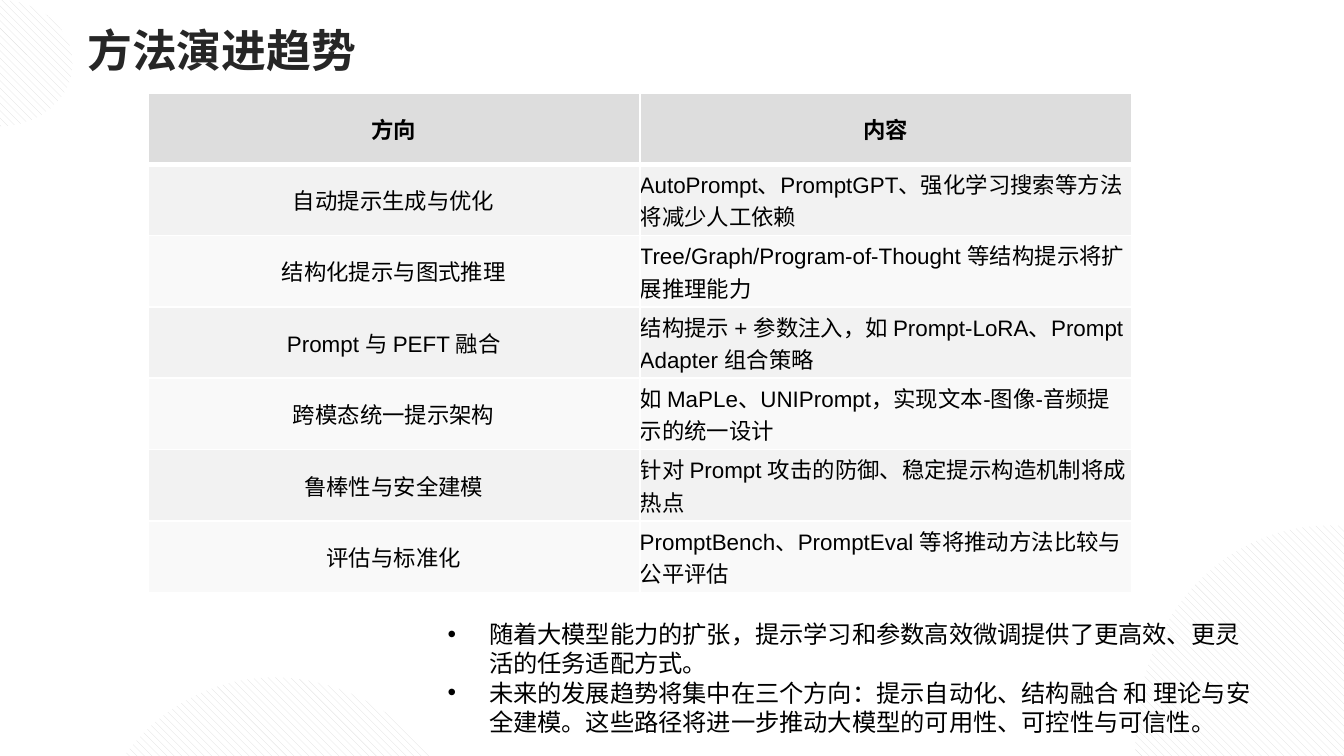
from pptx import Presentation
from pptx.dml.color import RGBColor
from pptx.enum.dml import MSO_PATTERN
from pptx.enum.shapes import MSO_SHAPE
from pptx.enum.text import MSO_ANCHOR, PP_ALIGN
from pptx.oxml.xmlchemy import OxmlElement
from pptx.util import Inches, Pt
from lxml.etree import SubElement
from pptx.oxml.ns import qn

COLORS = {"white": "FFFFFF", "gray": "DDDDDD", "title": "262626",
          "text": "000000", "odd": "F2F2F2", "even": "F9F9F9"}
ROWS = [
    ("方向", "内容"),
    ("自动提示生成与优化", "AutoPrompt、PromptGPT、强化学习搜索等方法将减少人工依赖"),
    ("结构化提示与图式推理", "Tree/Graph/Program-of-Thought 等结构提示将扩展推理能力"),
    ("Prompt 与 PEFT 融合", "结构提示 + 参数注入，如 Prompt-LoRA、Prompt Adapter 组合策略"),
    ("跨模态统一提示架构", "如 MaPLe、UNIPrompt，实现文本-图像-音频提示的统一设计"),
    ("鲁棒性与安全建模", "针对 Prompt 攻击的防御、稳定提示构造机制将成热点"),
    ("评估与标准化", "PromptBench、PromptEval 等将推动方法比较与公平评估"),
]
POINTS = [
    "随着大模型能力的扩张，提示学习和参数高效微调提供了更高效、更灵活的任务适配方式。",
    "未来的发展趋势将集中在三个方向：提示自动化、结构融合 和 理论与安全建模。"
    "这些路径将进一步推动大模型的可用性、可控性与可信性。",
]
DISCS = [(0.37, 5.27, 3.57, 3.08, 75), (8.22, 4.14, 3.57, 3.08, 75),
         (-0.55, 0, 1.09, 0.94, 0)]


def rgb(name):
    return RGBColor.from_string(COLORS[name])


def style(para, size, color="text", bold=False, face="Arial"):
    font = para.font
    font.size, font.bold, font.name = Pt(size), bold, face
    font.color.rgb = rgb(color)


prs = Presentation()
prs.slide_width = Inches(10)
prs.slide_height = prs.slide_width * 9 // 16
slide = prs.slides.add_slide(prs.slide_layouts[1])
shapes = slide.shapes
title, body = slide.placeholders

for left, top, width, height, angle in DISCS:
    disc = shapes.add_shape(MSO_SHAPE.OVAL, Inches(left), Inches(top),
                            Inches(width), Inches(height))
    disc.rotation = angle
    disc.shadow.inherit = False
    disc.line.fill.background()
    disc.fill.patterned()
    disc.fill.pattern = MSO_PATTERN.WIDE_DOWNWARD_DIAGONAL
    disc.fill.fore_color.rgb = rgb("gray")
    disc.fill.back_color.rgb = rgb("white")
    shapes._spTree.insert(2, disc._element)

title.left, title.top = Inches(0.55), Inches(0.12)
title.width, title.height = Inches(8.6), Inches(0.5)
title.text_frame.text = "方法演进趋势"
title.text_frame.vertical_anchor = MSO_ANCHOR.MIDDLE
head = title.text_frame.paragraphs[0]
head.alignment = PP_ALIGN.LEFT
style(head, 24, "title", True, "Noto Sans CJK SC")

table = shapes.add_table(len(ROWS), 2, Inches(1.1), Inches(0.69),
                         Inches(7.32), Inches(3.72)).table
for i, row in enumerate(ROWS):
    for j, text in enumerate(row):
        cell = table.cell(i, j)
        cell.text = text
        cell.vertical_anchor = MSO_ANCHOR.MIDDLE
        cell.margin_left = cell.margin_right = 0
        cell.margin_top = cell.margin_bottom = 0
        para = cell.text_frame.paragraphs[0]
        para.alignment = PP_ALIGN.CENTER if i == 0 or j == 0 else PP_ALIGN.LEFT
        style(para, 12, bold=i == 0)
        props = cell._tc.get_or_add_tcPr()
        for side in "LRTB":
            thick = (i, side) in [(0, "B"), (1, "T")]
            line = OxmlElement(f"a:ln{side}")
            line.set("w", str(Pt(3 if thick else 1)))
            fill = SubElement(line, qn("a:solidFill"))
            SubElement(fill, qn("a:srgbClr")).set("val", COLORS["white"])
            props.append(line)
        cell.fill.solid()
        cell.fill.fore_color.rgb = rgb("gray" if i == 0 else "odd" if i % 2 else "even")

body.left, body.top = Inches(3.23), Inches(4.56)
body.width, body.height = Inches(6.18), Inches(0.97)
frame = body.text_frame
frame.text = "\n".join(POINTS)
for para in frame.paragraphs:
    style(para, 13)
    para.space_before = Pt(0)
    para.line_spacing = 1.0
    props = para._p.get_or_add_pPr()
    props.set("marL", str(Inches(0.31)))
    props.set("indent", str(Inches(-0.31)))
    mark = OxmlElement("a:buChar")
    mark.set("char", "•")
    props.insert_element_before(mark, "a:tabLst", "a:defRPr", "a:extLst")

prs.save("out.pptx")
